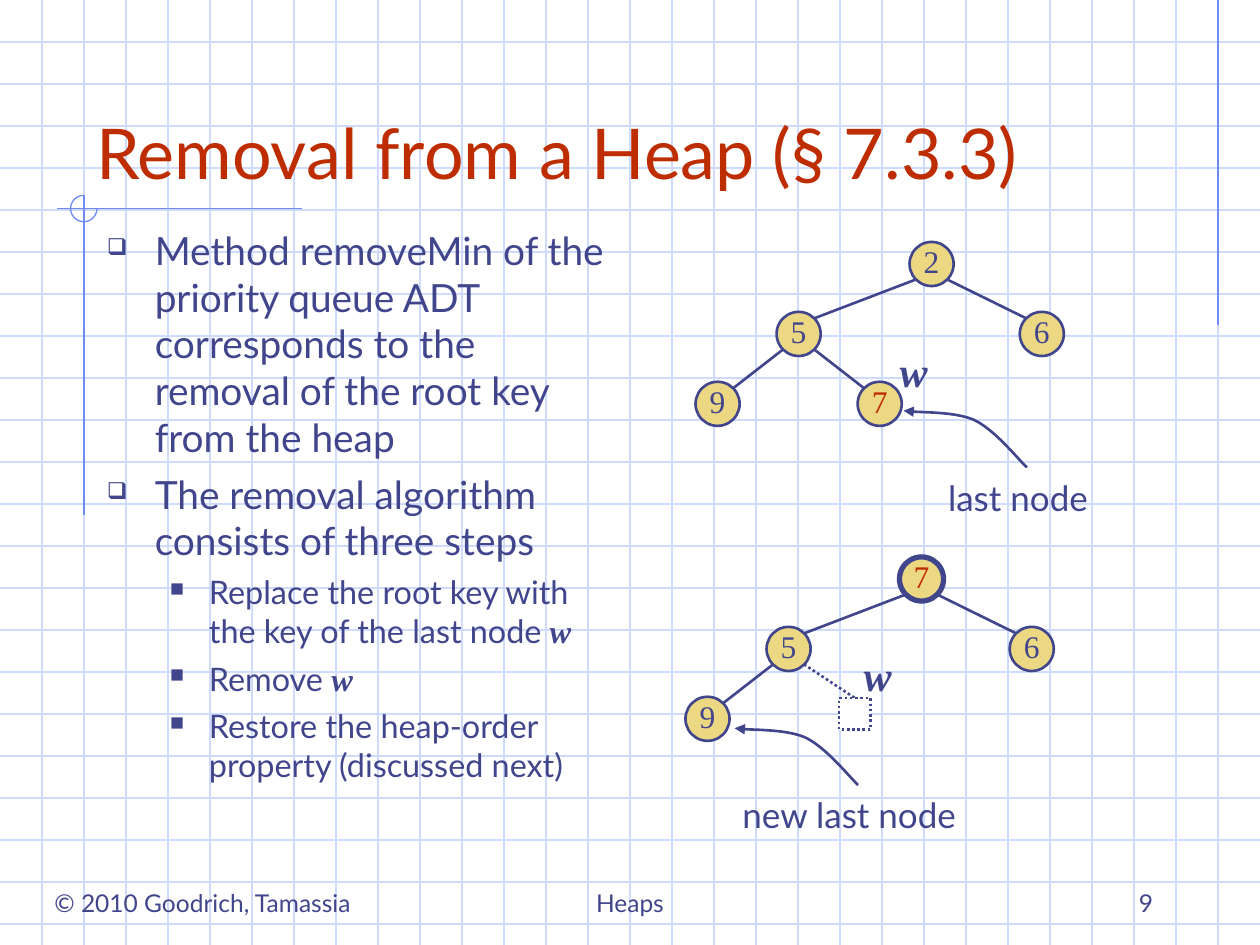
from dataclasses import dataclass

from lxml import etree
from pptx import Presentation
from pptx.dml.color import RGBColor
from pptx.enum.dml import MSO_LINE
from pptx.enum.shapes import MSO_CONNECTOR, MSO_SHAPE
from pptx.enum.text import MSO_ANCHOR, PP_ALIGN
from pptx.oxml.ns import qn
from pptx.util import Inches, Pt

STRAIGHT = MSO_CONNECTOR.STRAIGHT
ELLIPSE, RECTANGLE, ARC = MSO_SHAPE.OVAL, MSO_SHAPE.RECTANGLE, MSO_SHAPE.ARC
DOTTED = MSO_LINE.ROUND_DOT
TOP, MIDDLE, BOTTOM = MSO_ANCHOR.TOP, MSO_ANCHOR.MIDDLE, MSO_ANCHOR.BOTTOM
LEFT, CENTER, RIGHT = PP_ALIGN.LEFT, PP_ALIGN.CENTER, PP_ALIGN.RIGHT

COLORS = {"grid": "CFDBFD", "accent": "6F89F7", "ink": "40458C",
          "red": "BE2D00", "node": "ECD882", "white": "FFFFFF"}
SANS, SERIF = "Lato", "Times New Roman"
COLUMNS, ROWS = 30, 22.5
NODE = 1.05
SLOT = 0.75
NODE_SHARES = {"root": (0.66, 0), "left": (0.25, 0.5), "right": (1, 0.5),
               "leaf": (0, 1), "last": (0.5, 1)}
EDGES = [("root", "left"), ("root", "right"), ("left", "leaf"), ("left", "last")]
CURVE = [[(1, 1), (0.93, 0.86), (0.74, 0.33), (0.57, 0.16)],
         [(0.57, 0.16), (0.4, 0), (0.11, 0.04), (0, 0)]]


@dataclass
class Box:
    """A rectangle measured in grid columns and rows."""
    left: float
    top: float
    width: float
    height: float

    def emu(self):
        """Return the rectangle as slide lengths."""
        return [cells(value) for value in (self.left, self.top, self.width, self.height)]


def cells(count):
    """Turn a count of grid cells into a slide length."""
    return Inches(count / 3)


def color(name):
    """Return the named colour."""
    return RGBColor.from_string(COLORS[name])


def style_line(line, name, width, dash=None):
    """Set the colour, width and dash of a line."""
    line.color.rgb = color(name)
    line.width = Pt(width)
    if dash:
        line.dash_style = dash


def add_line(slide, start, end, name="ink", width=1.5, dash=None):
    """Draw a straight line between two grid points."""
    line = slide.shapes.add_connector(STRAIGHT, *map(cells, (*start, *end)))
    style_line(line.line, name, width, dash)
    etree.SubElement(line._element.spPr, qn("a:effectLst"))


def add_run(paragraph, text, size, name="ink", font=SANS, strong=False):
    """Append one run of text; strong means bold italic."""
    run = paragraph.add_run()
    run.text = text
    run.font.size, run.font.name = Pt(size), font
    run.font.bold = run.font.italic = strong
    run.font.color.rgb = color(name)


def add_text(slide, box, text, size, align=LEFT, anchor=TOP, **style):
    """Place a text box holding a single run."""
    frame = slide.shapes.add_textbox(*box.emu()).text_frame
    frame.word_wrap, frame.vertical_anchor = True, anchor
    paragraph = frame.paragraphs[0]
    paragraph.alignment = align
    add_run(paragraph, text, size, **style)


def add_preset(slide, kind, box, fill, name="ink", width=1.5, dash=None):
    """Place a preset shape, unfilled when fill is None."""
    shape = slide.shapes.add_shape(kind, *box.emu())
    shape.shadow.inherit = False
    if fill:
        shape.fill.solid()
        shape.fill.fore_color.rgb = color(fill)
    else:
        shape.fill.background()
    style_line(shape.line, name, width, dash)
    return shape


def add_background(slide, box):
    """Draw the graph paper and its accent lines."""
    right, bottom = box.left + box.width, box.top + box.height
    for row in range(1, int(box.height) + 1):
        add_line(slide, (box.left, row), (right, row), "grid", 0.75)
    for column in range(1, int(box.width)):
        add_line(slide, (column, box.top), (column, bottom), "grid", 0.75)
    for start, end in [((29, 0), (29, 7.75)), ((7.2, 4.97), (1.35, 4.97)),
                       ((2, 4.65), (2, 12.27))]:
        add_line(slide, start, end, "accent", 0.75)
    arc = add_preset(slide, ARC, Box(1.68, 4.65, 0.63, 0.63), None, "accent", 0.75)
    arc.adjustments[0], arc.adjustments[1] = 0, 162


def add_bullet(paragraph, symbol, margin, hanging):
    """Give a paragraph a hanging bullet at 60 percent size."""
    properties = paragraph._p.get_or_add_pPr()
    properties.set("marL", str(Inches(margin)))
    properties.set("indent", str(-Inches(hanging)))
    tint = etree.SubElement(properties, qn("a:buClr"))
    etree.SubElement(tint, qn("a:srgbClr"), val=COLORS["ink"])
    etree.SubElement(properties, qn("a:buSzPct"), val="60000")
    etree.SubElement(properties, qn("a:buChar"), char=symbol)


def add_body(slide, box):
    """Write the two-level bullet list; a pair ends in a variable."""
    items = [
        (0, "Method removeMin of the priority queue ADT corresponds to the "
            "removal of the root key from the heap", ""),
        (0, "The removal algorithm consists of three steps", ""),
        (1, "Replace the root key with the key of the last node ", "w"),
        (1, "Remove ", "w"),
        (1, "Restore the heap-order property (discussed next)", "")]
    levels = [(22.2, 6, "❑", 0.38, 0.38), (18.5, 5, "■", 0.81, 0.31)]
    frame = slide.shapes.add_textbox(*box.emu()).text_frame
    frame.word_wrap = True
    for index, (level, text, variable) in enumerate(items):
        size, before, symbol, margin, hanging = levels[level]
        paragraph = frame.add_paragraph() if index else frame.paragraphs[0]
        paragraph.level = level
        paragraph.space_before = Pt(before)
        add_bullet(paragraph, symbol, margin, hanging)
        add_run(paragraph, text, size)
        if variable:
            add_run(paragraph, variable, size, font=SERIF, strong=True)


def add_node(slide, box, key, name, width):
    """Draw one round tree node with its key."""
    frame = add_preset(slide, ELLIPSE, box, "node", width=width).text_frame
    frame.margin_left = frame.margin_right = frame.margin_top = 0
    frame.margin_bottom = Inches(0.05)
    frame.word_wrap, frame.vertical_anchor = False, MIDDLE
    frame.paragraphs[0].alignment = CENTER
    add_run(frame.paragraphs[0], key, 18, name, SERIF)


def add_tree(slide, box, keys, red, variable_at, bold=None):
    """Draw a heap; the last node without a key becomes a dotted slot."""
    places = {name: Box(box.left + x * (box.width - NODE),
                        box.top + y * (box.height - NODE), NODE, NODE)
              for name, (x, y) in NODE_SHARES.items()}
    near, far = NODE * 0.15, NODE * 0.85
    for parent, child in EDGES:
        start, end = places[parent], places[child]
        leftward = end.left < start.left
        first = (start.left + (near if leftward else far), start.top + far)
        second = (end.left + (far if leftward else near), end.top + near)
        if child in keys:
            add_line(slide, first, second)
        else:
            slot = Box(end.left - 0.2, end.top + 0.03, SLOT, SLOT)
            add_line(slide, first, (slot.left + SLOT / 2, slot.top), dash=DOTTED)
            add_preset(slide, RECTANGLE, slot, "white", dash=DOTTED)
    for name, key in keys.items():
        add_node(slide, places[name], key, "red" if name == red else "ink",
                 3 if name == bold else 1.5)
    x, y = variable_at
    add_text(slide, Box(box.left + x * box.width, box.top + y * box.height, 1.26, 1.5),
             "w", 24, CENTER, font=SERIF, strong=True)


def add_callout(slide, box, text, label_width):
    """Draw a curved arrow to the upper left with a label under its tail."""
    points = []
    for a, b, c, d in CURVE:
        for step in range(13):
            t = step / 12
            weights = ((1 - t) ** 3, 3 * t * (1 - t) ** 2, 3 * t * t * (1 - t), t ** 3)
            x, y = (sum(w * p[axis] for w, p in zip(weights, (a, b, c, d))) for axis in (0, 1))
            points.append((cells(box.left + x * box.width), cells(box.top + y * box.height)))
    builder = slide.shapes.build_freeform(*points[0])
    builder.add_line_segments(points[1:], close=False)
    arrow = builder.convert_to_shape()
    arrow.shadow.inherit = False
    arrow.fill.background()
    style_line(arrow.line, "ink", 1.5)
    etree.SubElement(arrow.line._get_or_add_ln(), qn("a:tailEnd"), type="triangle")
    label_left = box.left + box.width - 0.21 - label_width / 2
    add_text(slide, Box(label_left, box.top + 1.41, label_width, 1.32), text, 20, CENTER)


def add_footer(slide, box):
    """Write the three footer texts along one band."""
    for left, width, text, align in [(0, 8.75, "© 2010 Goodrich, Tamassia", LEFT),
                                     (9.25, 9.5, "Heaps", CENTER),
                                     (20.5, 6.25, "9", RIGHT)]:
        add_text(slide, Box(box.left + left, box.top, width, box.height),
                 text, 14, align, BOTTOM)


def main():
    """Build and save the slide."""
    presentation = Presentation()
    presentation.slide_width, presentation.slide_height = cells(COLUMNS), cells(ROWS)
    slide = presentation.slides.add_slide(presentation.slide_layouts[6])
    add_background(slide, Box(0, 0, COLUMNS, ROWS))
    add_text(slide, Box(2, 1, 26.25, 3.75), "Removal from a Heap (§ 7.3.3)", 40,
             anchor=BOTTOM, name="red")
    add_body(slide, Box(2.25, 5.25, 12.75, 15))
    children = {"left": "5", "right": "6", "leaf": "9"}
    add_tree(slide, Box(16.56, 5.76, 8.77, 4.38), {"root": "2", "last": "7", **children},
             "last", (0.52, 0.53))
    add_callout(slide, Box(21.51, 9.78, 2.94, 1.35), "last node", 4.2)
    add_tree(slide, Box(16.32, 13.26, 8.77, 4.38), {"root": "7", **children},
             "root", (0.45, 0.47), bold="root")
    add_callout(slide, Box(17.49, 17.34, 2.94, 1.35), "new last node", 6.06)
    add_footer(slide, Box(1, 20.5, 26.75, 1.5))
    presentation.save("out.pptx")


if __name__ == "__main__":
    main()
